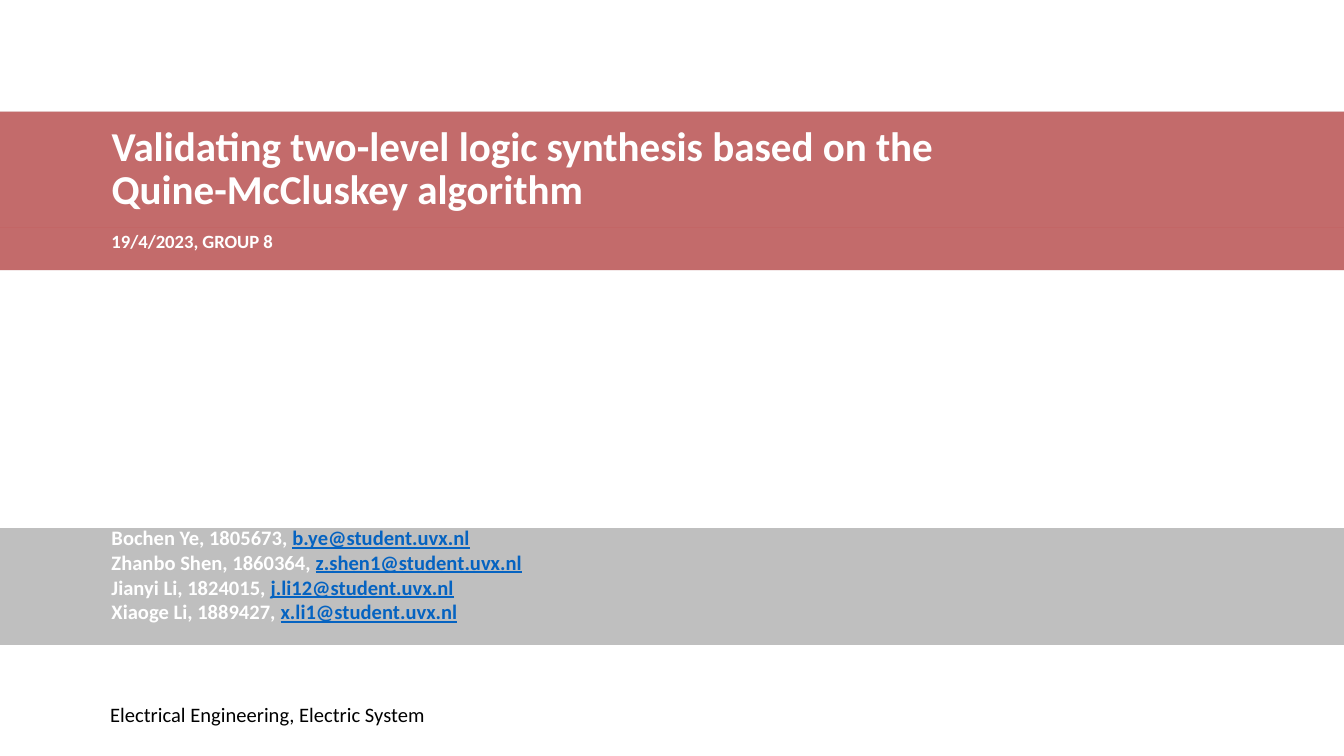
from typing import NamedTuple

from lxml.etree import SubElement
from pptx import Presentation
from pptx.dml.color import RGBColor
from pptx.enum.shapes import MSO_SHAPE as Kind
from pptx.enum.text import MSO_ANCHOR as Anchor, MSO_AUTO_SIZE as Fit, PP_ALIGN as Align
from pptx.oxml.ns import qn
from pptx.util import Inches, Pt

COLORS = {"red": "C81919", "black": "000000", "white": "FFFFFF", "link": "0563C1"}
FONT = "Calibri"
WIDTH = 10
INDENT = 0.83


class Run(NamedTuple):
    text: str
    color: str = "white"
    bold: bool = True
    line: bool = False


class Band(NamedTuple):
    box: tuple[float, float, float, float]
    color: str
    alpha: int
    lines: list[list[Run]]
    size: int = 11
    right: float = 0
    top: float = 0
    bottom: float = 0
    anchor: Anchor = Anchor.MIDDLE
    wrap: bool = True
    pitch: int | None = None


def paint(shape, color: str, alpha: int) -> None:
    """Fill a shape with a colour at a given opacity, without an outline."""
    shape.fill.solid()
    shape.fill.fore_color.rgb = RGBColor.from_string(COLORS[color])
    if alpha < 100:
        tint = shape.fill._xPr.find(qn("a:solidFill"))[0]
        SubElement(tint, qn("a:alpha"), val=str(alpha * 1000))
    shape.line.fill.background()


def write(shape, band: Band) -> None:
    """Set the band's text run by run."""
    frame = shape.text_frame
    frame.auto_size = Fit.NONE
    frame.word_wrap = band.wrap
    frame.vertical_anchor = band.anchor
    frame.margin_left, frame.margin_right = Inches(INDENT), Inches(band.right)
    frame.margin_top, frame.margin_bottom = Inches(band.top), Inches(band.bottom)
    for i, line in enumerate(band.lines):
        para = frame.add_paragraph() if i else frame.paragraphs[0]
        para.alignment = Align.LEFT
        para.space_before = para.space_after = Pt(0)
        if band.pitch:
            para.line_spacing = Pt(band.pitch)
        for item in line:
            run = para.add_run()
            run.text = item.text
            font = run.font
            font.name, font.size = FONT, Pt(band.size)
            font.bold, font.underline = item.bold, item.line
            font.color.rgb = RGBColor.from_string(COLORS[item.color])


def draw(slide, band: Band, shape=None):
    """Draw a band, in the given placeholder or as a new rectangle."""
    box = [Inches(v) for v in band.box]
    if shape is None:
        shape = slide.shapes.add_shape(Kind.RECTANGLE, *box)
        shape.shadow.inherit = False
    else:
        shape.left, shape.top, shape.width, shape.height = box
    paint(shape, band.color, band.alpha)
    if band.lines:
        write(shape, band)
    return shape


# Content
MEMBERS = [
    ("Bochen Ye, 1805673, ", "b.ye"),
    ("Zhanbo Shen, 1860364, ", "z.shen1"),
    ("Jianyi Li, 1824015, ", "j.li12"),
    ("Xiaoge Li, 1889427, ", "x.li1"),
]
SHADE = Band((0, 0.83, WIDTH, 1.18), "black", 25, [])
TITLE = Band(
    (0, 0.83, WIDTH, 0.86), "red", 50,
    [[Run("Validating two-level logic synthesis based on the Quine-McCluskey algorithm")]],
    size=22, right=2.15, pitch=23,
)
DATE = Band(
    (0, 1.69, WIDTH, 0.32), "red", 50, [[Run("19/4/2023, GROUP 8")]],
    size=10, right=2.15, top=0.02, anchor=Anchor.TOP, wrap=False,
)
GROUP = Band(
    (0, 3.93, 10.14, 0.87), "black", 25,
    [[Run(who), Run(f"{user}@student.uvx.nl", "link", line=True)] for who, user in MEMBERS],
    bottom=0.18,
)
DEPT = Band(
    (-0.01, 5, 8.04, 0.63), "white", 100,
    [[Run("Electrical Engineering, Electric System", "black", bold=False)]],
)


def main() -> None:
    deck = Presentation()
    deck.slide_width = Inches(WIDTH)
    deck.slide_height = Inches(WIDTH * 9 / 16)
    slide = deck.slides.add_slide(deck.slide_layouts[5])

    # Title over its shade
    title = draw(slide, TITLE, slide.shapes.title)
    shade = draw(slide, SHADE)
    title._element.addprevious(shade._element)

    # Other bands
    for band in (DATE, GROUP, DEPT):
        draw(slide, band)
    deck.save("out.pptx")


if __name__ == "__main__":
    main()
